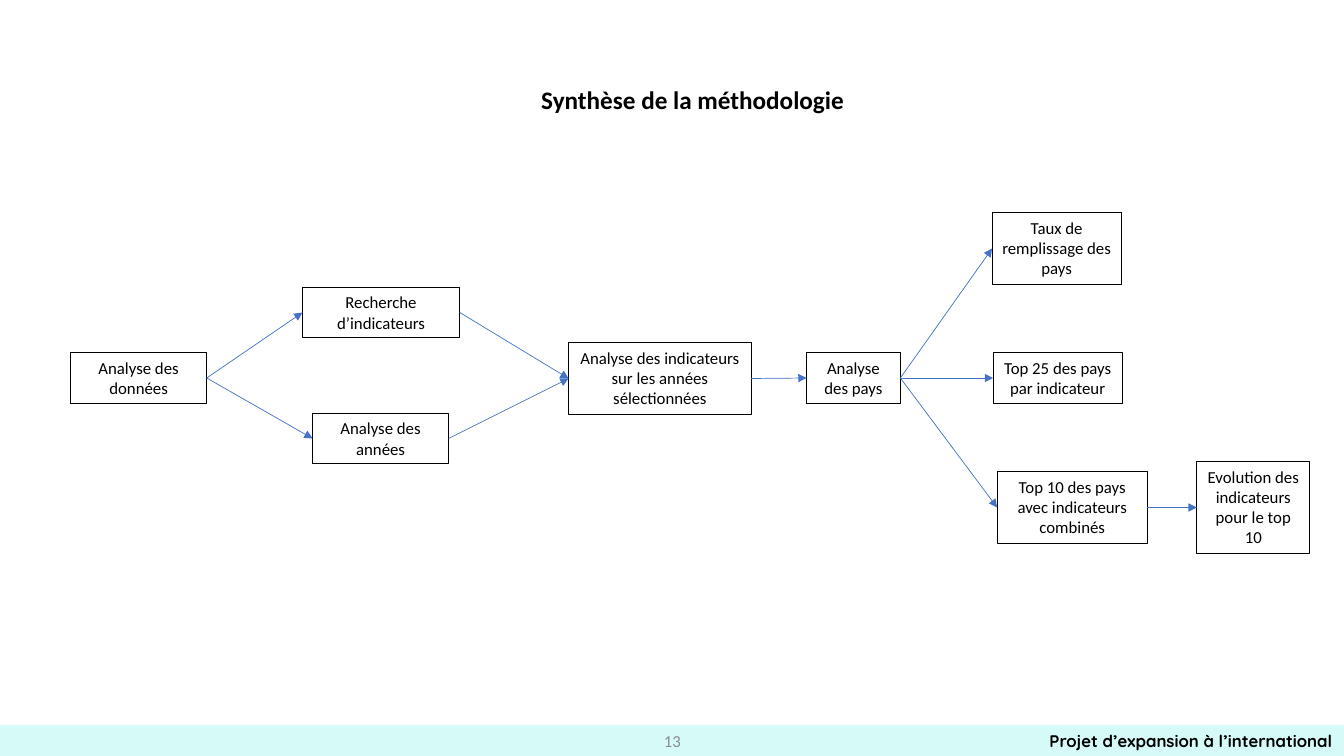
from lxml import etree
from pptx import Presentation
from pptx.dml.color import RGBColor
from pptx.enum.shapes import MSO_CONNECTOR, MSO_SHAPE
from pptx.enum.text import MSO_ANCHOR, MSO_AUTO_SIZE, PP_ALIGN
from pptx.oxml.ns import qn
from pptx.util import Inches, Pt

STRAIGHT = MSO_CONNECTOR.STRAIGHT
RECTANGLE = MSO_SHAPE.RECTANGLE
TOP, MIDDLE = MSO_ANCHOR.TOP, MSO_ANCHOR.MIDDLE
GROW, FIXED = MSO_AUTO_SIZE.SHAPE_TO_FIT_TEXT, MSO_AUTO_SIZE.NONE
LEFT, CENTER = PP_ALIGN.LEFT, PP_ALIGN.CENTER
LEFT_SIDE, RIGHT_SIDE = 1, 3

COLORS = {"text": "000000", "number": "8C8C8C", "arrow": "4472C4", "band": "D5FAF7"}
BAND = (0, 7.19, 13.33, 0.31)

LABELS = [
    ("Projet d’expansion à l’international", (10.31, 7.2, 3.02, 0.3), "text",
     {"name": "Quicksand", "size": Pt(12), "bold": True}, {"word_wrap": False}, LEFT),
    ("13", (5.17, 7.15, 3, 0.4), "number",
     {"name": "Calibri", "size": Pt(12)},
     {"word_wrap": True, "auto_size": FIXED, "vertical_anchor": MIDDLE}, CENTER),
    ("Synthèse de la méthodologie", (5.27, 0.79, 3.23, 0.4), "text",
     {"name": "Calibri", "size": Pt(18), "bold": True}, {"word_wrap": False}, LEFT),
]

STEPS = {
    "data": ("Analyse des données", (0.7, 3.5, 1.35, 0.5)),
    "indicators": ("Recherche d’indicateurs", (3, 2.85, 1.56, 0.5)),
    "years": ("Analyse des années", (3.1, 4.1, 1.35, 0.5)),
    "selection": ("Analyse des indicateurs sur les années sélectionnées", (5.64, 3.4, 1.81, 0.71)),
    "countries": ("Analyse des pays", (8, 3.5, 0.93, 0.5)),
    "fill rate": ("Taux de remplissage des pays", (9.84, 2.11, 1.28, 0.71)),
    "top 25": ("Top 25 des pays\npar indicateur", (9.85, 3.5, 1.28, 0.5)),
    "top 10": ("Top 10 des pays avec indicateurs combinés", (9.89, 4.68, 1.49, 0.71)),
    "evolution": ("Evolution des indicateurs pour le top 10", (11.87, 4.58, 1.12, 0.91)),
}
UNWRAPPED_STEPS = {"top 25"}
STEP_FONT = {"name": "Calibri", "size": Pt(12)}

ARROWS = [
    ("data", "indicators"), ("data", "years"),
    ("indicators", "selection"), ("years", "selection"),
    ("selection", "countries"),
    ("countries", "fill rate"), ("countries", "top 25"), ("countries", "top 10"),
    ("top 10", "evolution"),
]


def color(name):
    return RGBColor.from_string(COLORS[name])


def set_attributes(target, values):
    for name, value in values.items():
        setattr(target, name, value)


def add_text(slide, text, box, color_name, font, frame, alignment):
    shape = slide.shapes.add_textbox(*map(Inches, box))
    text_frame = shape.text_frame
    text_frame.text = text
    set_attributes(text_frame, {"auto_size": GROW, "vertical_anchor": TOP, **frame})
    for paragraph in text_frame.paragraphs:
        paragraph.alignment = alignment
        for run in paragraph.runs:
            set_attributes(run.font, font)
            run.font.color.rgb = color(color_name)
    return shape


def add_step(slide, name, text, box):
    frame = {"word_wrap": name not in UNWRAPPED_STEPS}
    shape = add_text(slide, text, box, "text", STEP_FONT, frame, CENTER)
    shape.line.color.rgb = color("text")
    shape.line.width = Pt(0.75)
    return shape


def add_arrow(slide, start, end):
    connector = slide.shapes.add_connector(STRAIGHT, 0, 0, 0, 0)
    connector.begin_connect(start, RIGHT_SIDE)
    connector.end_connect(end, LEFT_SIDE)
    connector.line.color.rgb = color("arrow")
    connector.line.width = Pt(0.5)
    properties = connector.element.spPr
    line = properties.find(qn("a:ln"))
    etree.SubElement(line, qn("a:tailEnd"), type="triangle")
    etree.SubElement(properties, qn("a:effectLst"))


def main():
    presentation = Presentation()
    presentation.slide_width = Inches(13.33)
    presentation.slide_height = Inches(7.5)
    slide = presentation.slides.add_slide(presentation.slide_layouts[6])

    band = slide.shapes.add_shape(RECTANGLE, *map(Inches, BAND))
    band.shadow.inherit = False
    band.fill.solid()
    band.fill.fore_color.rgb = color("band")
    band.line.fill.background()

    for label in LABELS:
        add_text(slide, *label)
    steps = {name: add_step(slide, name, *step) for name, step in STEPS.items()}
    for start, end in ARROWS:
        add_arrow(slide, steps[start], steps[end])

    presentation.save("out.pptx")


if __name__ == "__main__":
    main()
